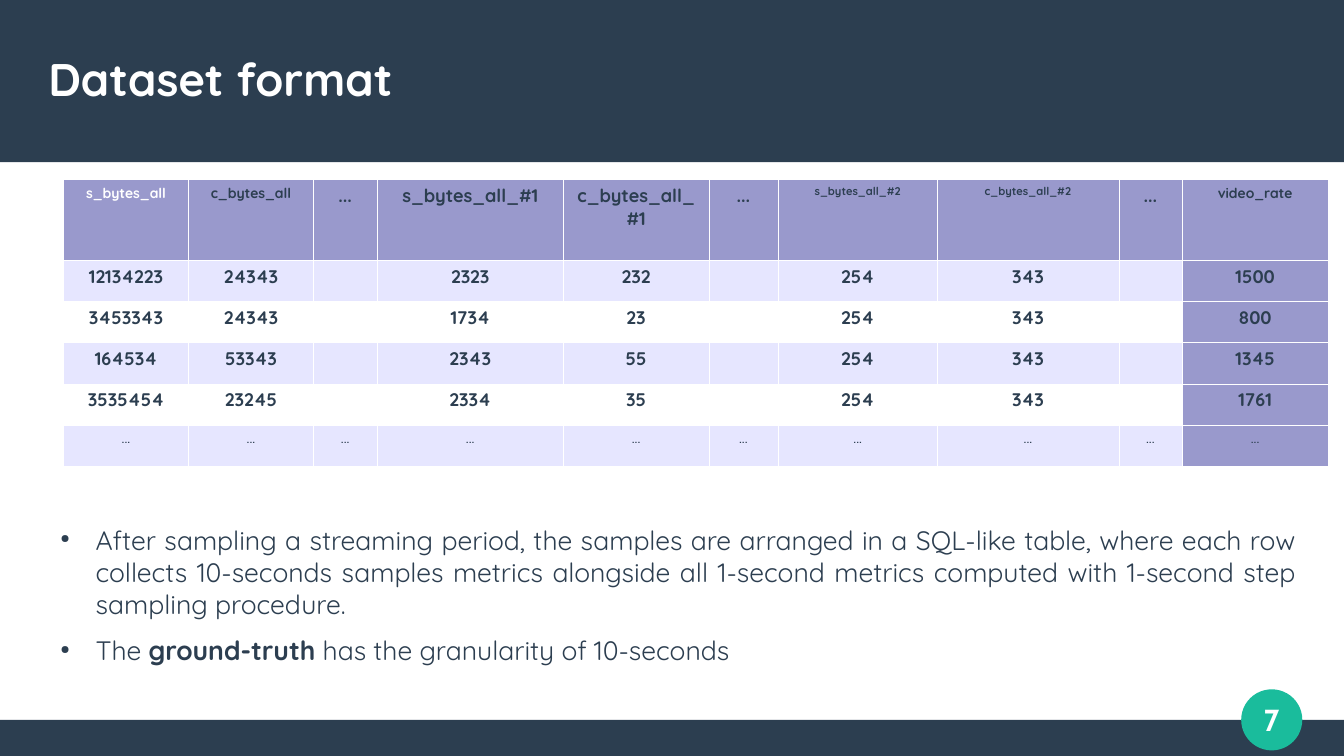
from lxml.etree import SubElement
from pptx import Presentation
from pptx.dml.color import RGBColor
from pptx.enum.shapes import MSO_SHAPE as Shape
from pptx.enum.text import MSO_ANCHOR as Anchor, PP_ALIGN as Align
from pptx.oxml.ns import qn
from pptx.util import Cm, Pt

NAVY, TEAL, WHITE = "2C3E50", "1ABC9C", "FFFFFF"
PURPLE, LAVENDER = "9999CC", "E6E6FF"

# Column heading, heading size, width in cm
COLUMNS = [
    ("s_bytes_all", 10, 3.15), ("c_bytes_all", 10, 3.15), ("...", 13, 1.6),
    ("s_bytes_all_#1", 13, 4.7), ("c_bytes_all_#1", 13, 3.66), ("...", 13, 1.75),
    ("s_bytes_all_#2", 8, 4.01), ("c_bytes_all_#2", 8, 4.57), ("...", 13, 1.6),
    ("video_rate", 10, 3.68),
]
SAMPLES = [
    ["12134223", "24343", "", "2323", "232", "", "254", "343", "", "1500"],
    ["3453343", "24343", "", "1734", "23", "", "254", "343", "", "800"],
    ["164534", "53343", "", "2343", "55", "", "254", "343", "", "1345"],
    ["3535454", "23245", "", "2334", "35", "", "254", "343", "", "1761"],
]
# Each paragraph is a list of (text, bold) runs
NOTES = [
    [("After sampling a streaming period, the samples are arranged in a SQL-like table, "
      "where each row collects 10-seconds samples metrics alongside all 1-second metrics "
      "computed with 1-second step sampling procedure.", False)],
    [("The ", False), ("ground-truth", True), (" has the granularity of 10-seconds", False)],
]


def rgb(value):
    return RGBColor.from_string(value)


class SlideBuilder:
    def __init__(self, slide, font="Quicksand", ink=NAVY):
        self.slide, self.font, self.ink = slide, font, ink

    def style(self, paragraph, size, color=None, bold=False, font=None):
        face = paragraph.font
        face.name, face.size, face.bold = font or self.font, Pt(size), bold
        face.color.rgb = rgb(color or self.ink)

    def block(self, kind, box, color):
        block = self.slide.shapes.add_shape(kind, *map(Cm, box))
        block.shadow.inherit = False
        block.fill.solid()
        block.fill.fore_color.rgb = rgb(color)
        block.line.fill.background()

    def frame(self, box):
        """Add a wrapping, vertically centred text box without insets."""
        frame = self.slide.shapes.add_textbox(*map(Cm, box)).text_frame
        frame.word_wrap, frame.vertical_anchor = True, Anchor.MIDDLE
        frame.margin_left = frame.margin_top = frame.margin_right = frame.margin_bottom = 0
        return frame

    def label(self, box, text, size, align=Align.LEFT, font=None):
        paragraph = self.frame(box).paragraphs[0]
        paragraph.text, paragraph.alignment = text, align
        self.style(paragraph, size, WHITE, True, font)

    def bullets(self, box, items, size):
        frame = self.frame(box)
        for index, runs in enumerate(items):
            paragraph = frame.add_paragraph() if index else frame.paragraphs[0]
            paragraph.alignment, paragraph.space_after = Align.JUSTIFY, Pt(10.6)
            props = paragraph._p.get_or_add_pPr()
            props.set("marL", str(Cm(1.19)))
            props.set("indent", str(Cm(-0.89)))
            SubElement(SubElement(props, qn("a:buClr")), qn("a:srgbClr"), val=self.ink)
            SubElement(props, qn("a:buSzPct"), val="45000")
            SubElement(props, qn("a:buChar"), char="●")
            self.style(paragraph, size)
            for text, bold in runs:
                run = paragraph.add_run()
                run.text = text
                if bold:
                    run.font.bold = True

    def cell(self, cell, text, fill, size, **look):
        cell.fill.solid()
        cell.fill.fore_color.rgb = rgb(fill)
        paragraph = cell.text_frame.paragraphs[0]
        paragraph.text, paragraph.alignment = text, Align.CENTER
        self.style(paragraph, size, **look)
        props = cell._tc.get_or_add_tcPr()
        for place, side in enumerate(("lnL", "lnR", "lnT", "lnB")):
            border = SubElement(props, qn(f"a:{side}"), w="762")
            SubElement(SubElement(border, qn("a:solidFill")), qn("a:srgbClr"), val=WHITE)
            props.insert(place, border)

    def dataset(self, left, top, header_height, row_height):
        rows = len(SAMPLES) + 2
        width = sum(column[2] for column in COLUMNS)
        height = header_height + (rows - 1) * row_height
        table = self.slide.shapes.add_table(
            rows, len(COLUMNS), Cm(left), Cm(top), Cm(width), Cm(height)).table
        for index, row in enumerate(table.rows):
            row.height = Cm(row_height if index else header_height)
        last = len(COLUMNS) - 1
        for col, (heading, size, column_width) in enumerate(COLUMNS):
            table.columns[col].width = Cm(column_width)
            self.cell(table.cell(0, col), heading, PURPLE, size, bold=True,
                      color=NAVY if col else WHITE)
            for row in range(1, rows):
                fill = PURPLE if col == last else LAVENDER if row % 2 else WHITE
                if row <= len(SAMPLES):
                    self.cell(table.cell(row, col), SAMPLES[row - 1][col], fill, 13, bold=True)
                else:
                    self.cell(table.cell(row, col), "...", fill, 10, font="Cabin")


def main():
    deck = Presentation()
    deck.slide_width, deck.slide_height = Cm(33.87), Cm(19.05)
    page = SlideBuilder(deck.slides.add_slide(deck.slide_layouts[6]))
    page.block(Shape.RECTANGLE, (0, 18.14, 33.87, 0.91), NAVY)
    page.block(Shape.RECTANGLE, (0, 0, 33.87, 4.09), NAVY)
    page.block(Shape.OVAL, (31.28, 17.37, 1.54, 1.54), TEAL)
    page.label((30.84, 17.22, 2.41, 1.8), "7", 21.7, Align.CENTER, "Cabin")
    page.label((1.22, 0.76, 31.45, 2.41), "Dataset format", 32.6)
    page.dataset(1.6, 4.52, 2.03, 1.04)
    page.bullets((1.22, 12.29, 31.45, 5.41), NOTES, 19)
    deck.save("out.pptx")


if __name__ == "__main__":
    main()
